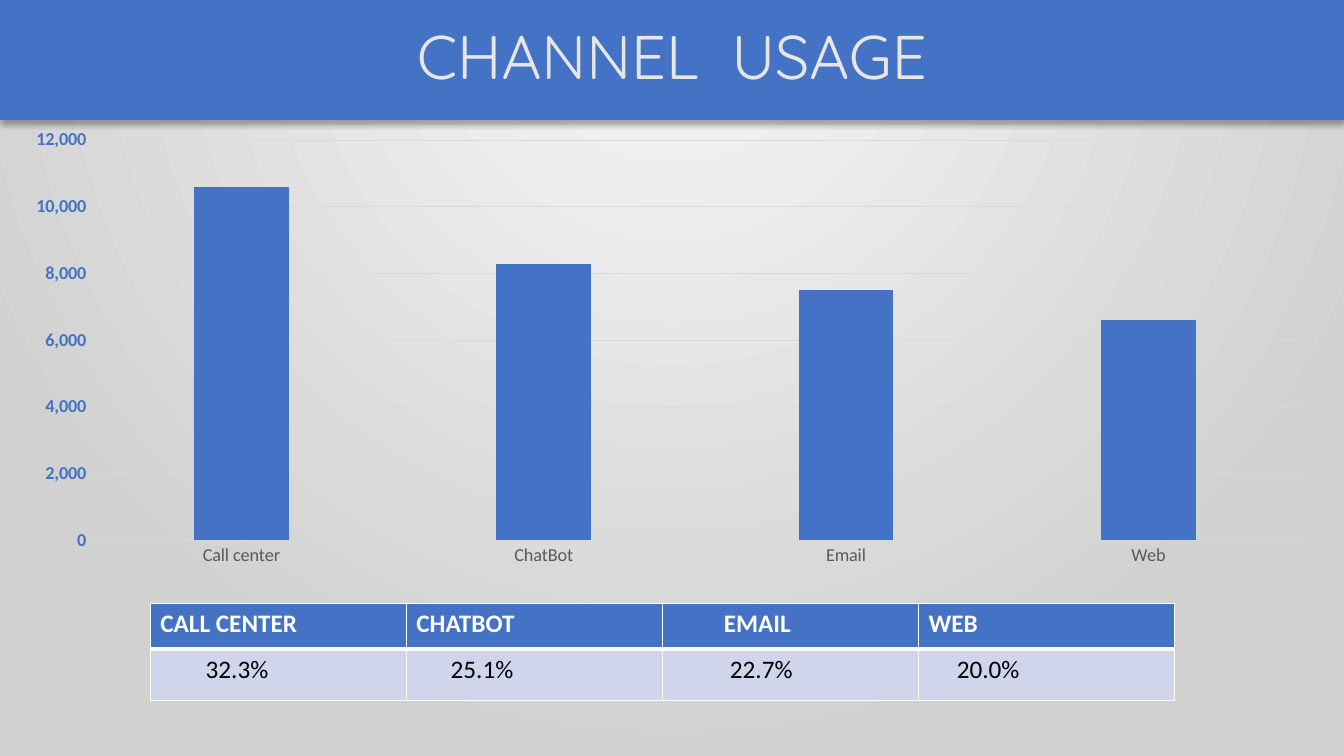
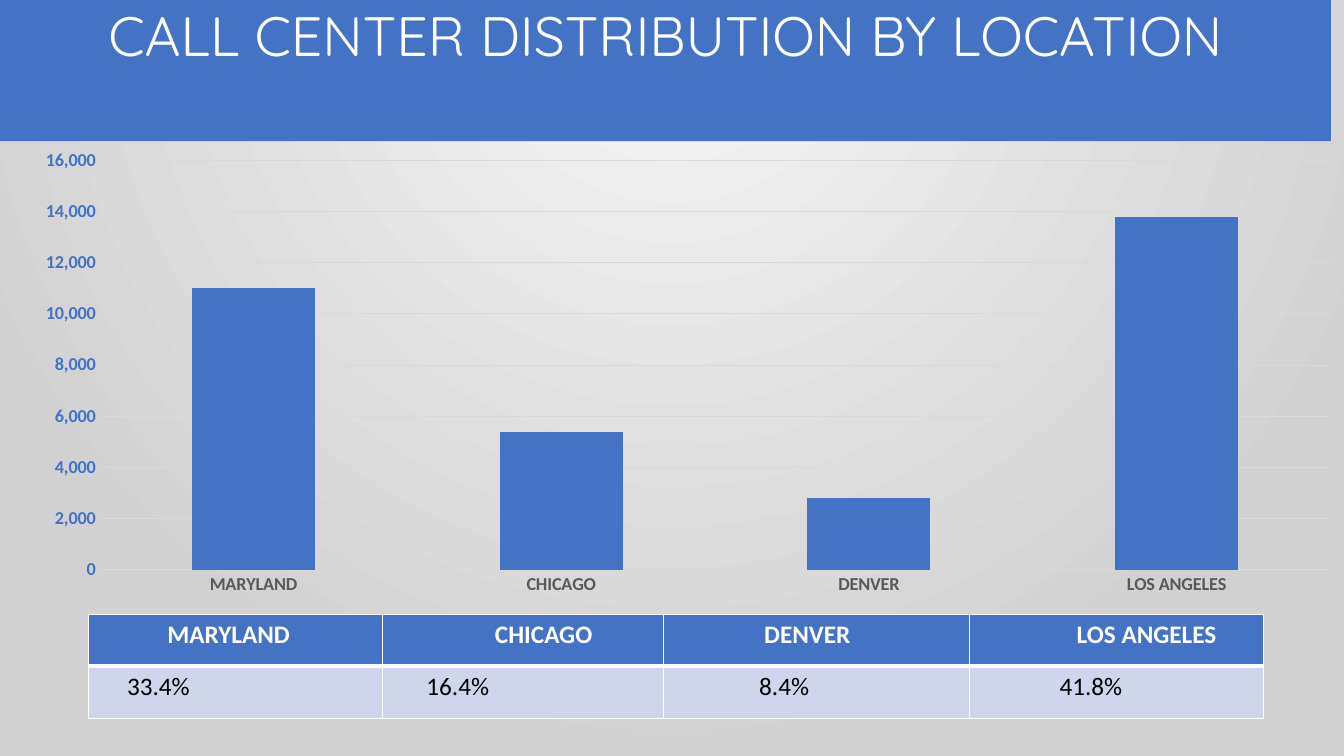
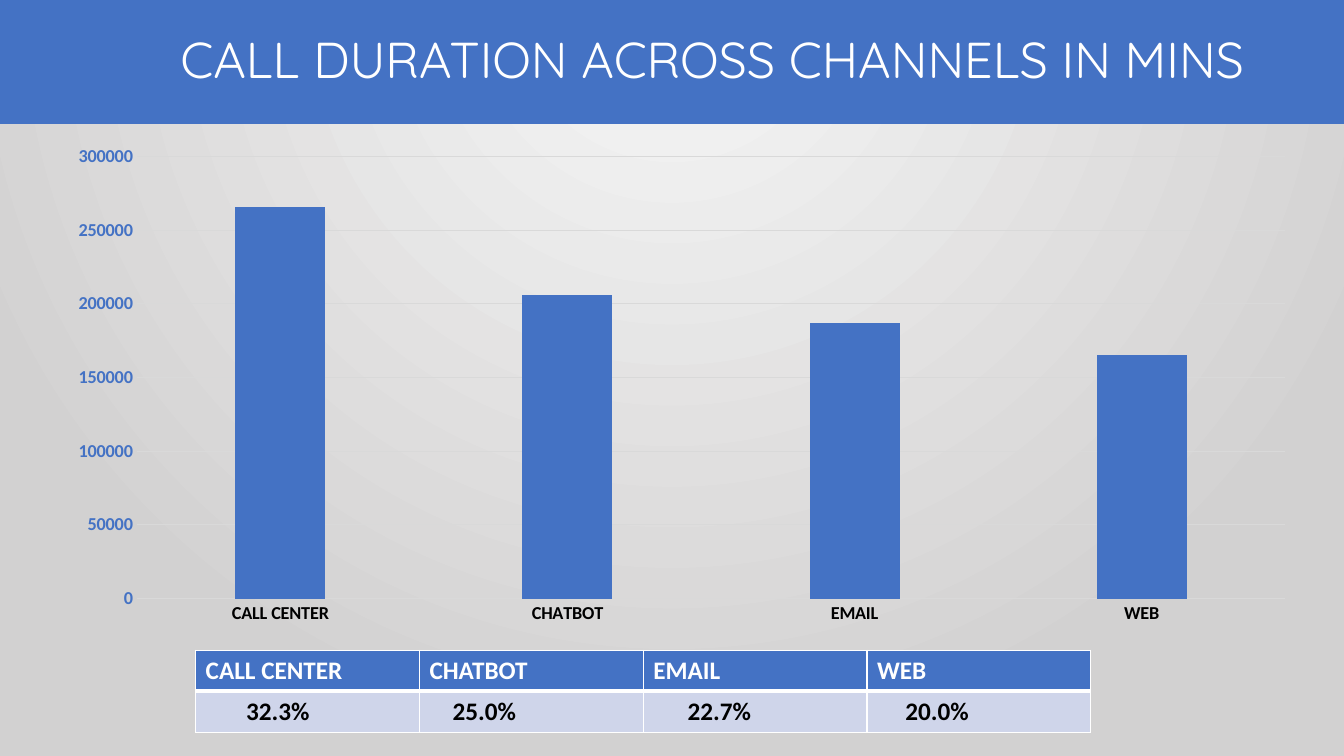
"""Build three slides on channel usage, each with a title band, a column chart and a table."""
from lxml import etree
from pptx import Presentation
from pptx.chart.data import CategoryChartData
from pptx.dml.color import RGBColor
from pptx.enum.chart import XL_CHART_TYPE, XL_TICK_MARK
from pptx.enum.shapes import MSO_SHAPE
from pptx.enum.text import MSO_ANCHOR, PP_ALIGN
from pptx.oxml.ns import qn
from pptx.util import Inches, Pt

BLUE = RGBColor(0x44, 0x72, 0xC4)
PALE_BLUE = RGBColor(0xCF, 0xD5, 0xEA)
WHITE = RGBColor(0xFF, 0xFF, 0xFF)
BLACK = RGBColor(0x00, 0x00, 0x00)
LIGHT_GREY = RGBColor(0xE7, 0xE6, 0xE6)
GRID_GREY = RGBColor(0xD9, 0xD9, 0xD9)
TEXT_GREY = RGBColor(0x59, 0x59, 0x59)
BACK_INNER = RGBColor(0xF6, 0xF6, 0xF6)
BACK_OUTER = RGBColor(0xD2, 0xD1, 0xD1)
CLUSTERED = XL_CHART_TYPE.COLUMN_CLUSTERED
STACKED = XL_CHART_TYPE.COLUMN_STACKED
NO_TICK = XL_TICK_MARK.NONE
RECTANGLE = MSO_SHAPE.RECTANGLE
MIDDLE = MSO_ANCHOR.MIDDLE
CENTER = PP_ALIGN.CENTER
TITLE_FONT = "Quicksand"
BODY_FONT = "Calibri"
INSET = 0.1
WIDTH, HEIGHT = 13.33, 7.5

SLIDES = [
    dict(title=[("CHANNEL", 0), (" ", 1100), ("USAGE", 0)], size=44, color=LIGHT_GREY,
         band=(WIDTH, 1.19), left=INSET, bottom=0.05, shadow=True,
         kind=CLUSTERED, chart=(0.1, 1.19, 13.05, 4.52), plot=None, gap=219, overlap=-27,
         cats=["Call center", "ChatBot", "Email", "Web"], vals=[10600, 8300, 7500, 6600],
         top=12000, step=2000, fmt="#,##0", cat_color=TEXT_GREY, cat_bold=False, cat_line=True,
         table=(1.49, 5.99), cols=[2.54] * 4, rows=[0.45, 0.51], body_bold=False,
         shares=["32.3%", "25.1%", "22.7%", "20.0%"],
         indents=[[INSET, INSET, 0.61, INSET], [0.55, 0.44, 0.67, 0.38]]),
    dict(title=[("CALL CENTER DISTRIBUTION BY LOCATION", 0)], size=39.6, color=WHITE,
         band=(13.2, 1.4), left=INSET, bottom=0.68, shadow=False,
         kind=STACKED, chart=(0.14, 1.4, 13.06, 4.68), plot=(0.065, 0.041, 0.935, 0.868),
         gap=150, overlap=100,
         cats=["MARYLAND", "CHICAGO", "DENVER", "LOS ANGELES"], vals=[11000, 5400, 2800, 13800],
         top=16000, step=2000, fmt="#,##0", cat_color=TEXT_GREY, cat_bold=True, cat_line=False,
         table=(0.88, 6.1), cols=[2.91, 2.79, 3.04, 2.91], rows=[0.51, 0.52], body_bold=False,
         shares=["33.4%", "16.4%", "8.4%", "41.8%"],
         indents=[[0.78, 1.12, 1.0, 1.06], [0.38, 0.44, 0.95, 0.89]]),
    dict(title=[("CALL DURATION ACROSS CHANNELS IN MINS", 0)], size=36, color=WHITE,
         band=(WIDTH, 1.23), left=0.9, bottom=0.05, shadow=False,
         kind=CLUSTERED, chart=(0.1, 1.23, 13.23, 5.07), plot=(0.095, 0.064, 0.861, 0.865),
         gap=219, overlap=-27,
         cats=["CALL CENTER", "CHATBOT", "EMAIL", "WEB"], vals=[266000, 206000, 187000, 165000],
         top=300000, step=50000, fmt="0", cat_color=BLACK, cat_bold=True, cat_line=True,
         table=(1.94, 6.45), cols=[2.22] * 4, rows=[0.4, 0.41], body_bold=True,
         shares=["32.3%", "25.0%", "22.7%", "20.0%"],
         indents=[[INSET] * 4, [0.5, 0.33, 0.44, 0.38]]),
]


def style_font(font, size, color, bold=False, name=BODY_FONT):
    font.name, font.size, font.bold = name, Pt(size), bold
    font.color.rgb = color


def add_node(parent, tag, **attrs):
    return etree.SubElement(parent, qn(tag), {k: str(v) for k, v in attrs.items()})


prs = Presentation()
prs.slide_width, prs.slide_height = Inches(WIDTH), Inches(HEIGHT)
blank = prs.slide_layouts[6]

fill = prs.slide_master.background.fill
fill.gradient()
for stop, color, position in zip(fill.gradient_stops, (BACK_INNER, BACK_OUTER), (0, 1)):
    stop.color.rgb, stop.position = color, position
grad = prs.slide_master.element.find(".//" + qn("a:gradFill"))
grad.remove(grad.find(qn("a:lin")))
circle = add_node(grad, "a:path", path="circle")
add_node(circle, "a:fillToRect", l=43000, t=0, r=43000, b=100000)

for d in SLIDES:
    s = prs.slides.add_slide(blank)

    band_width, band_height = d["band"]
    sp = s.shapes.add_shape(RECTANGLE, 0, 0, Inches(band_width), Inches(band_height))
    sp.shadow.inherit = False
    sp.fill.solid()
    sp.fill.fore_color.rgb = BLUE
    sp.line.fill.background()
    if d["shadow"]:
        effects = sp.element.spPr.find(qn("a:effectLst"))
        shadow = add_node(effects, "a:outerShdw", blurRad=Pt(4), dist=Pt(3), dir=5400000,
                          algn="t", rotWithShape=0)
        add_node(add_node(shadow, "a:srgbClr", val=BLACK), "a:alpha", val=32000)
    tf = sp.text_frame
    tf.word_wrap, tf.vertical_anchor = True, MIDDLE
    tf.margin_left, tf.margin_bottom = Inches(d["left"]), Inches(d["bottom"])
    p = tf.paragraphs[0]
    p.alignment, p.line_spacing = CENTER, 0.9
    for text, spacing in d["title"]:
        r = p.add_run()
        r.text = text
        style_font(r.font, d["size"], d["color"], name=TITLE_FONT)
        if spacing:
            r.font._element.set("spc", str(spacing))

    data = CategoryChartData(number_format=d["fmt"])
    data.categories = d["cats"]
    data.add_series("Series 1", d["vals"])
    chart = s.shapes.add_chart(d["kind"], *map(Inches, d["chart"]), data).chart
    chart.has_title = chart.has_legend = False
    style_font(chart.font, 10, BLACK)
    plot = chart.plots[0]
    plot.gap_width, plot.overlap, plot.vary_by_categories = d["gap"], d["overlap"], False
    bars = plot.series[0].format.fill
    bars.solid()
    bars.fore_color.rgb = BLUE

    cat_axis, val_axis = chart.category_axis, chart.value_axis
    for axis in (cat_axis, val_axis):
        axis.major_tick_mark = axis.minor_tick_mark = NO_TICK
        axis.format.line.fill.background()
    style_font(cat_axis.tick_labels.font, 13, d["cat_color"], d["cat_bold"])
    style_font(val_axis.tick_labels.font, 13, BLUE, True)
    val_axis.minimum_scale, val_axis.maximum_scale, val_axis.major_unit = 0, d["top"], d["step"]
    val_axis.tick_labels.number_format = d["fmt"]
    val_axis.tick_labels.number_format_is_linked = False
    lines = [val_axis.major_gridlines.format.line]
    if d["cat_line"]:
        lines.append(cat_axis.format.line)
    for line in lines:
        line.color.rgb, line.width = GRID_GREY, Pt(0.75)

    if d["plot"]:
        area = chart.element.find(".//" + qn("c:plotArea"))
        for old in area.findall(qn("c:layout")):
            area.remove(old)
        layout = add_node(area, "c:layout")
        area.insert(0, layout)
        manual = add_node(layout, "c:manualLayout")
        add_node(manual, "c:layoutTarget", val="inner")
        for tag in ("c:xMode", "c:yMode"):
            add_node(manual, tag, val="edge")
        for tag, share in zip(("c:x", "c:y", "c:w", "c:h"), d["plot"]):
            add_node(manual, tag, val=share)

    size = sum(d["cols"]), sum(d["rows"])
    table = s.shapes.add_table(2, 4, *map(Inches, d["table"] + size)).table
    for column, width in zip(table.columns, d["cols"]):
        column.width = Inches(width)
    for row, height in zip(table.rows, d["rows"]):
        row.height = Inches(height)
    header = [cat.upper() for cat in d["cats"]]
    looks = [(header, BLUE, WHITE, True, (1, 1, 1, 3)),
             (d["shares"], PALE_BLUE, BLACK, d["body_bold"], (1, 1, 3, 1))]
    for i, (texts, back, color, bold, borders) in enumerate(looks):
        for j, text in enumerate(texts):
            cell = table.cell(i, j)
            cell.margin_left = Inches(d["indents"][i][j])
            tcPr = cell._tc.get_or_add_tcPr()
            for tag, width in zip(("a:lnL", "a:lnR", "a:lnT", "a:lnB"), borders):
                edge = add_node(tcPr, tag, w=Pt(width))
                add_node(add_node(edge, "a:solidFill"), "a:srgbClr", val=WHITE)
            cell.fill.solid()
            cell.fill.fore_color.rgb = back
            r = cell.text_frame.paragraphs[0].add_run()
            r.text = text
            style_font(r.font, 18, color, bold)

prs.save("out.pptx")
